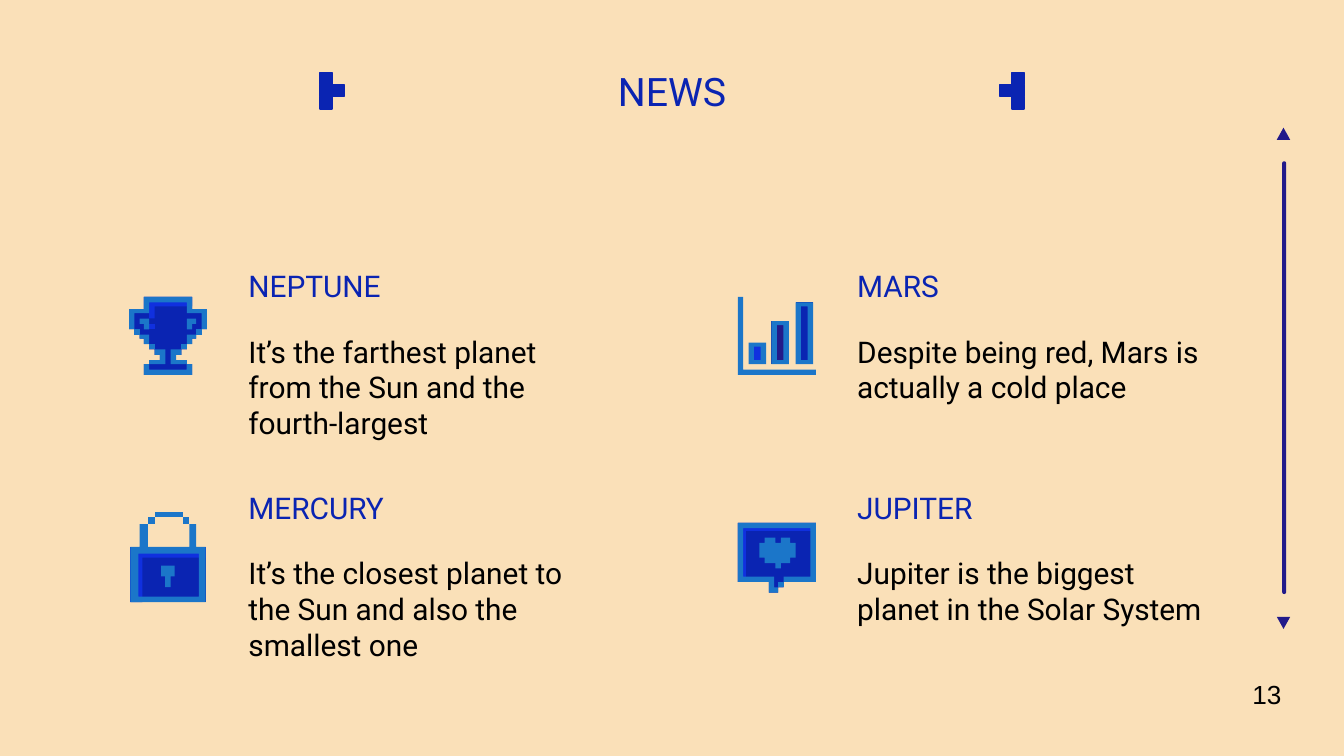
from pptx import Presentation
from pptx.dml.color import RGBColor
from pptx.enum.shapes import MSO_SHAPE
from pptx.enum.text import MSO_ANCHOR, MSO_AUTO_SIZE, PP_ALIGN
from pptx.util import Pt

PX = 9144
ROUND, TRI = MSO_SHAPE.ROUNDED_RECTANGLE, MSO_SHAPE.ISOSCELES_TRIANGLE
TOP, BASE = MSO_ANCHOR.TOP, MSO_ANCHOR.BOTTOM
LEFT, MID = PP_ALIGN.LEFT, PP_ALIGN.CENTER
GROW = MSO_AUTO_SIZE.SHAPE_TO_FIT_TEXT
SAND, BLACK = "FAE0B8", "000000"
BLUE, LIGHT, SKY, DARK = "0A24B2", "1030DF", "1B76C9", "221A8A"


def color(fill, tone):
    fill.solid()
    fill.fore_color.rgb = RGBColor.from_string(tone)


def emu(*sizes):
    return [size * PX for size in sizes]


def write(slide, box, words, size, tone, font="Roboto", anchor=TOP, align=LEFT, pad=10):
    area = slide.shapes.add_textbox(*emu(*box))
    frame = area.text_frame
    frame.word_wrap = True
    frame.vertical_anchor = anchor
    frame.margin_left = frame.margin_right = 10 * PX
    frame.margin_top = frame.margin_bottom = pad * PX
    line = frame.paragraphs[0]
    line.text = words
    line.alignment = align
    line.font.size = Pt(size)
    line.font.name = font
    line.font.color.rgb = RGBColor.from_string(tone)
    return frame


def paint(shape, tone, edge=None):
    shape.shadow.inherit = False
    color(shape.fill, tone)
    if edge:
        color(shape.line.fill, tone)
        shape.line.width = Pt(edge)
    else:
        shape.line.fill.background()


def trace(start, left, top):
    x, y, *turns = start
    spots = [(left + x, top + y)]
    for step, turn in enumerate(turns):
        if step % 2:
            x = turn
        else:
            y = turn
        spots.append((left + x, top + y))
    return spots


def draw(group, left, top, tone, *rings, edge=None):
    first, *rest = [trace(ring, left, top) for ring in rings]
    pen = group.shapes.build_freeform(*first[0], scale=PX)
    pen.add_line_segments(first[1:])
    for ring in rest:
        pen.move_to(*ring[0])
        pen.add_line_segments(ring[1:])
    paint(pen.convert_to_shape(), tone, edge)


def rect(x, y, wide, high):
    return x, y, y + high, x + wide, y


def flip(ring, wide):
    return [wide - spot if i == 0 or (i > 2 and i % 2) else spot
            for i, spot in enumerate(ring)]


def chart(slide, left, top):
    group = slide.shapes.add_group_shape()
    bars = [(8, 34, LIGHT), (25, 18, DARK), (43, 4, BLUE)]
    for x, y, tone in bars:
        draw(group, left, top, tone, rect(x, y, 13, 50 - y))
    draw(group, left, top, SKY, (0, 0, 58, 58, 54, 4, 0))
    for x, y, _ in reversed(bars):
        draw(group, left, top, SKY, rect(x + 4, y + 3, 5, 44 - y),
             rect(x, y, 13, 50 - y))


def bubble(slide, left, top):
    group = slide.shapes.add_group_shape()
    for tone, ring in [
        (BLUE, (0, 0, 44, 23, 52, 30, 48, 34, 44, 58, 0)),
        (LIGHT, (0, 0, 44, 6, 6, 58, 0)),
        (SKY, (20, 11, 15, 16, 26, 20, 30, 28, 34, 32, 30, 39, 26, 43, 15,
               39, 11, 32, 15, 28, 11)),
        (SKY, rect(30, 44, 4, 4)),
        (SKY, (0, 0, 44, 23, 52, 30, 48, 27, 40, 4, 4, 54, 40, 34, 44, 58, 0)),
    ]:
        draw(group, left, top, tone, ring)


def trophy(slide, left, top):
    group = slide.shapes.add_group_shape()
    for tone, ring in [
        (BLUE, (11, 0, 9, 0, 24, 4, 28, 8, 31, 11, 35, 15, 39, 19, 43, 23, 47,
                15, 50, 11, 58, 47, 50, 43, 47, 35, 43, 39, 39, 43, 35, 47, 31,
                50, 28, 54, 24, 58, 9, 47, 0)),
        (LIGHT, (11, 0, 12, 15, 16, 19, 7, 47, 0)),
        (LIGHT, rect(11, 20, 8, 4)),
        (SKY, (11, 50, 58, 47, 50, 43, 54, 15, 50)),
        (SKY, (11, 0, 9, 0, 24, 4, 12, 15, 4, 43, 12, 54, 24, 58, 9, 47, 0)),
    ]:
        draw(group, left, top, tone, ring)
    for ring in [
        rect(15, 35, 4, 4),
        (19, 39, 43, 23, 47, 15, 50, 27, 39),
        rect(4, 24, 4, 4),
        (8, 28, 31, 11, 35, 15, 28),
        (8, 16, 20, 11, 24, 15, 16),
    ]:
        draw(group, left, top, SKY, ring)
        draw(group, left, top, SKY, flip(ring, 58))


def lock(slide, left, top):
    group = slide.shapes.add_group_shape()
    for tone, *rings in [
        (BLUE, rect(0, 26, 56, 41)),
        (LIGHT, (0, 26, 67, 9, 34, 56, 26)),
        (SKY, rect(18, 0, 21, 4)),
        (SKY, rect(6, 31, 45, 32),
         (7, 9, 26, 0, 67, 56, 26, 49, 9, 44, 26, 13, 9)),
        (SKY, rect(13, 4, 5, 5)),
        (SKY, rect(39, 4, 5, 5)),
        (SKY, (23, 40, 48, 26, 56, 30, 48, 33, 40)),
    ]:
        draw(group, left, top, tone, *rings)


def marker(slide, left, top, side):
    group = slide.shapes.add_group_shape()
    for x, y in [(0, 0), (0, 9), (0, 18), (side * 9, 9)]:
        draw(group, left, top, BLUE, rect(x, y, 9, 9), edge=0.75)


def header(slide, left, top, wide, high):
    write(slide, (left, top, wide, high), "NEWS", 21, BLUE, anchor=BASE, align=MID)
    marker(slide, left + 204, top + 22, 1)
    marker(slide, left + wide - 213, top + 22, -1)


def topic(slide, left, top, name, note):
    write(slide, (left, top, 285, 43), name, 16, BLUE, anchor=BASE)
    write(slide, (left, top + 45, 285, 81), note, 16, BLACK)


def scroll(slide, left, top, wide, high):
    for kind, box, turn in [
        (ROUND, (left + 4, top + 25, 3, high - 51), 0),
        (TRI, (left, top, wide, 9), 0),
        (TRI, (left, top + high - 9, wide, 9), 180),
    ]:
        shape = slide.shapes.add_shape(kind, *emu(*box))
        shape.rotation = turn
        shape.adjustments[0] = 0.5
        paint(shape, DARK)


def main():
    deck = Presentation()
    deck.slide_width = 1000 * PX
    deck.slide_height = deck.slide_width * 9 // 16
    slide = deck.slides.add_slide(deck.slide_layouts[6])
    color(slide.background.fill, SAND)
    page = write(slide, (922, 500, 44, 34), "13", 14, BLACK, "Arial", pad=5)
    page.word_wrap = False
    page.auto_size = GROW
    header(slide, 34, 32, 932, 63)
    topics = [
        ("NEPTUNE", "It’s the farthest planet from the Sun and the fourth-largest"),
        ("MERCURY", "It’s the closest planet to the Sun and also the smallest one"),
        ("MARS", "Despite being red, Mars is actually a cold place"),
        ("JUPITER", "Jupiter is the biggest planet in the Solar System"),
    ]
    for i, (name, note) in enumerate(topics):
        topic(slide, 175 + i // 2 * 453, 193 + i % 2 * 165, name, note)
    chart(slide, 549, 221)
    bubble(slide, 549, 389)
    trophy(slide, 96, 221)
    lock(slide, 97, 381)
    scroll(slide, 950, 95, 10, 373)
    deck.save("out.pptx")


if __name__ == "__main__":
    main()
